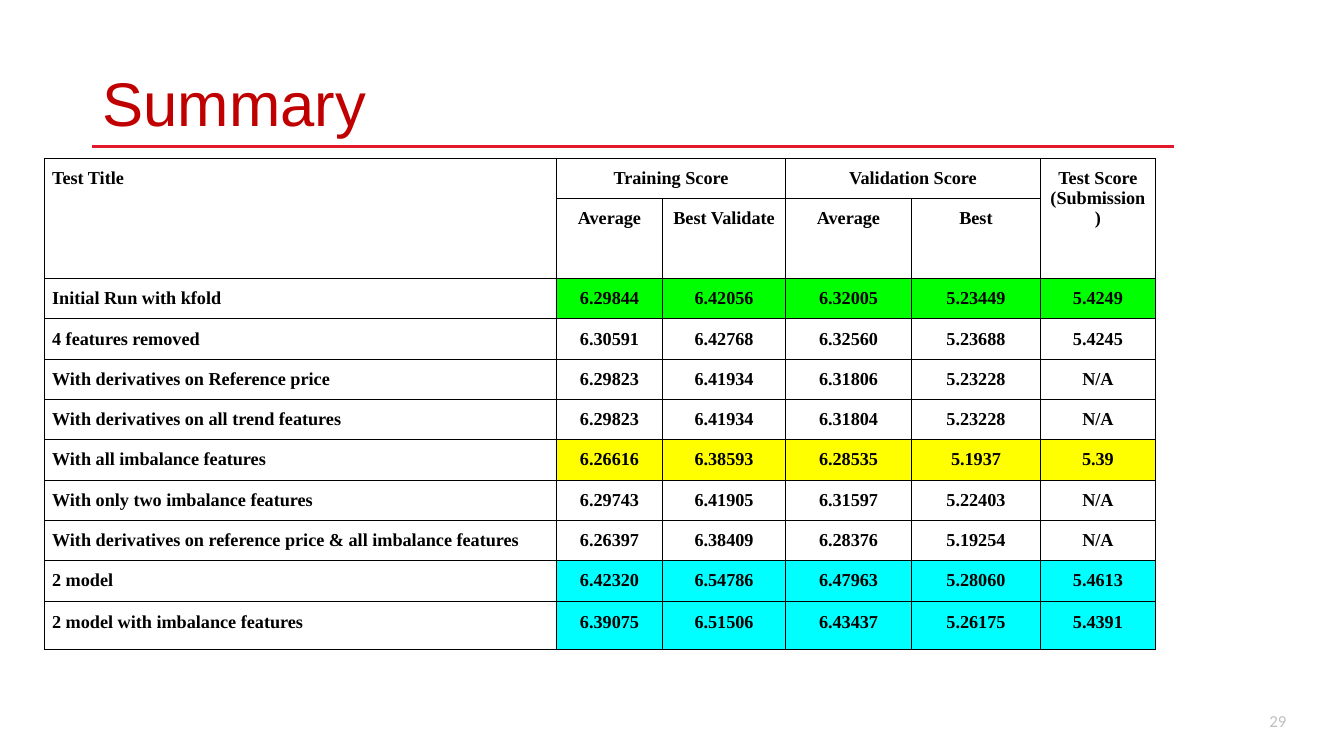
"""Build the summary slide with its table of training, validation and test scores."""
from lxml import etree
from pptx import Presentation
from pptx.dml.color import RGBColor
from pptx.enum.shapes import MSO_CONNECTOR
from pptx.enum.text import MSO_ANCHOR, PP_ALIGN
from pptx.oxml.ns import qn
from pptx.util import Pt

STRAIGHT = MSO_CONNECTOR.STRAIGHT
MIDDLE, TOP = MSO_ANCHOR.MIDDLE, MSO_ANCHOR.TOP
LEFT, CENTER, RIGHT = PP_ALIGN.LEFT, PP_ALIGN.CENTER, PP_ALIGN.RIGHT

TITLE = "Summary"
PAGE_NUMBER = "29"
HEADINGS = [
    ("Test Title", "Training Score", "", "Validation Score", "", "Test Score\n(Submission)"),
    ("", "Average", "Best Validate", "Average", "Best", ""),
]
RESULTS = [
    ("Initial Run with kfold", "6.29844", "6.42056", "6.32005", "5.23449", "5.4249"),
    ("4 features removed", "6.30591", "6.42768", "6.32560", "5.23688", "5.4245"),
    ("With derivatives on Reference price", "6.29823", "6.41934", "6.31806", "5.23228", "N/A"),
    ("With derivatives on all trend features", "6.29823", "6.41934", "6.31804", "5.23228", "N/A"),
    ("With all imbalance features", "6.26616", "6.38593", "6.28535", "5.1937", "5.39"),
    ("With only two imbalance features", "6.29743", "6.41905", "6.31597", "5.22403", "N/A"),
    ("With derivatives on reference price & all imbalance features",
     "6.26397", "6.38409", "6.28376", "5.19254", "N/A"),
    ("2 model", "6.42320", "6.54786", "6.47963", "5.28060", "5.4613"),
    ("2 model with imbalance features", "6.39075", "6.51506", "6.43437", "5.26175", "5.4391"),
]
MERGES = [((0, 0), (1, 0)), ((0, 1), (0, 2)), ((0, 3), (0, 4)), ((0, 5), (1, 5))]
HIGHLIGHTS = {2: "baseline", 6: "best", 9: "two_model", 10: "two_model"}
COLUMN_WIDTHS = [365.4, 75.9, 87.8, 90, 92.1, 82.1]
ROW_HEIGHTS = [28.6, 57.2] + [28.8] * 7 + [29.4, 33.8]

THEME = {
    "title": ("Arial", 44, "C00000", False),
    "number": ("Calibri", 12, "BFBFBF", False),
    "table": ("Times New Roman", 13, "000000", True),
    "rule": "E1192B",
    "border": "000000",
    "baseline": "00FF00",
    "best": "FFFF00",
    "two_model": "00FFFF",
}


def format_text(text_frame, style, alignment):
    """Apply a theme type style and an alignment to all the text."""
    name, size, color, bold = THEME[style]
    for paragraph in text_frame.paragraphs:
        paragraph.alignment = alignment
        for run in paragraph.runs:
            run.font.name = name
            run.font.size = Pt(size)
            run.font.bold = bold
            run.font.color.rgb = RGBColor.from_string(color)


def add_label(slide, text, box, style, alignment):
    """Add a vertically centred text box."""
    label = slide.shapes.add_textbox(*map(Pt, box))
    text_frame = label.text_frame
    text_frame.word_wrap = True
    text_frame.vertical_anchor = MIDDLE
    text_frame.text = text
    format_text(text_frame, style, alignment)
    return label


def add_rule(slide):
    """Add the line under the title."""
    rule = slide.shapes.add_connector(STRAIGHT, Pt(66), Pt(104.7), Pt(838.8), Pt(104.7))
    rule.line.color.rgb = RGBColor.from_string(THEME["rule"])
    rule.line.width = Pt(2)
    etree.SubElement(rule._element.spPr, qn("a:effectLst"))


def add_borders(cell):
    """Draw all four borders of a cell."""
    properties = cell._tc.get_or_add_tcPr()
    for side in ("a:lnL", "a:lnR", "a:lnT", "a:lnB"):
        border = etree.SubElement(properties, qn(side), w=str(Pt(0.86)))
        fill = etree.SubElement(border, qn("a:solidFill"))
        etree.SubElement(fill, qn("a:srgbClr"), val=THEME["border"])


def add_score_table(slide):
    """Add the score table with merged headings and highlighted rows."""
    rows = HEADINGS + RESULTS
    frame = slide.shapes.add_table(
        len(rows), len(COLUMN_WIDTHS), Pt(32), Pt(113.2),
        Pt(sum(COLUMN_WIDTHS)), Pt(sum(ROW_HEIGHTS)))
    table = frame.table
    table.first_row = table.horz_banding = False
    for column, width in zip(table.columns, COLUMN_WIDTHS):
        column.width = Pt(width)
    for row, height in zip(table.rows, ROW_HEIGHTS):
        row.height = Pt(height)
    for first, last in MERGES:
        table.cell(*first).merge(table.cell(*last))
    for row_index, values in enumerate(rows):
        for column_index, value in enumerate(values):
            cell = table.cell(row_index, column_index)
            add_borders(cell)
            if column_index and row_index in HIGHLIGHTS:
                cell.fill.solid()
                cell.fill.fore_color.rgb = RGBColor.from_string(THEME[HIGHLIGHTS[row_index]])
            else:
                cell.fill.background()
            cell.margin_left = cell.margin_right = Pt(5.25)
            cell.margin_top, cell.margin_bottom = Pt(7.2), Pt(0)
            cell.vertical_anchor = TOP
            if not cell.is_spanned:
                cell.text_frame.text = value
                format_text(cell.text_frame, "table", CENTER if column_index else LEFT)


def main():
    """Assemble and save the slide."""
    presentation = Presentation()
    presentation.slide_width, presentation.slide_height = Pt(960), Pt(540)
    slide = presentation.slides.add_slide(presentation.slide_layouts[6])
    add_rule(slide)
    title = add_label(slide, TITLE, (66.2, 23.8, 828, 104.4), "title", LEFT)
    title.text_frame.paragraphs[0].line_spacing = 0.9
    add_label(slide, PAGE_NUMBER, (709.9, 500.4, 216, 28.8), "number", RIGHT)
    add_score_table(slide)
    presentation.save("out.pptx")


if __name__ == "__main__":
    main()
